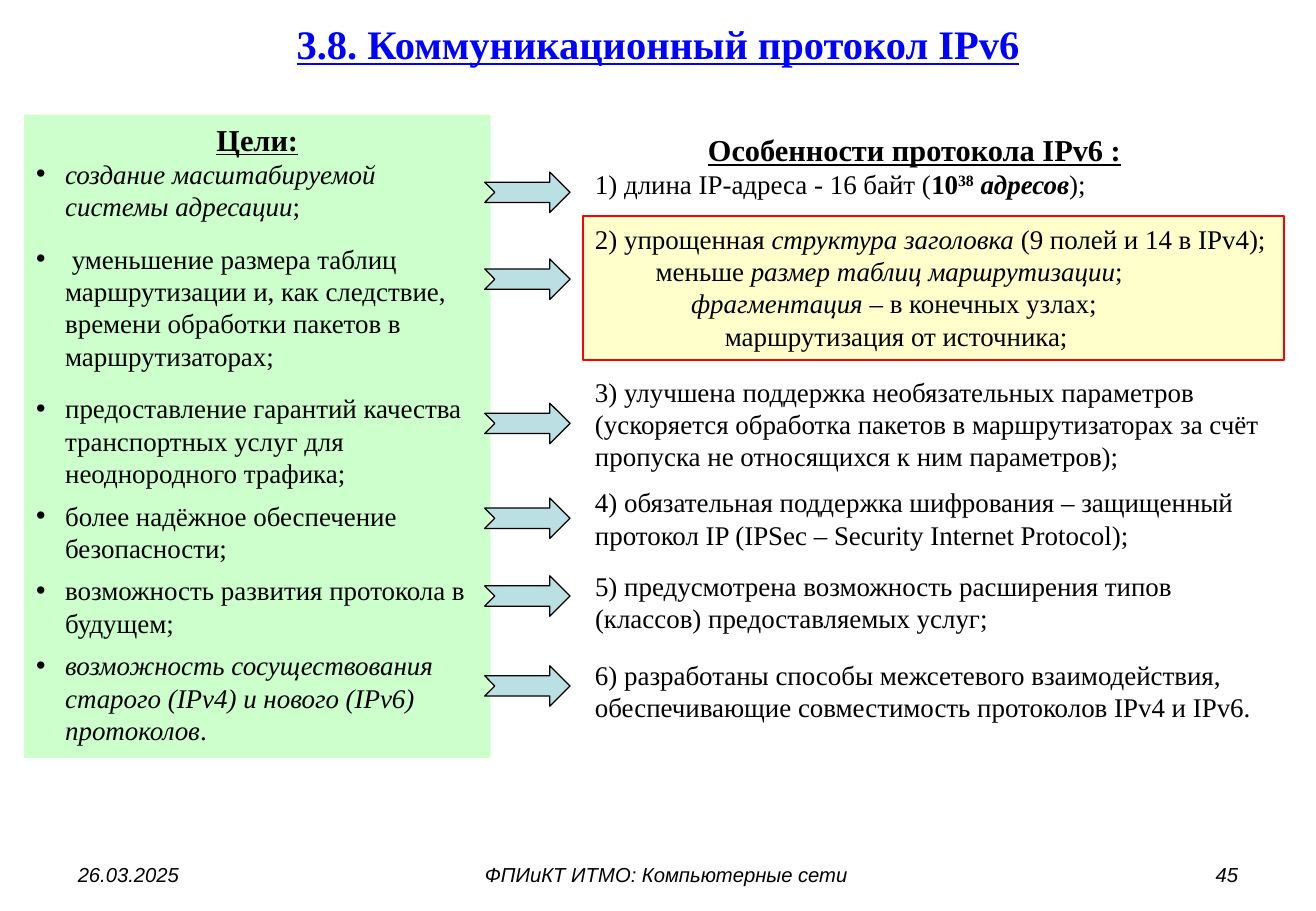
from dataclasses import dataclass

from lxml.etree import SubElement
from pptx import Presentation
from pptx.dml.color import RGBColor
from pptx.enum.shapes import MSO_SHAPE
from pptx.enum.text import MSO_ANCHOR, MSO_AUTO_SIZE, PP_ALIGN
from pptx.oxml.ns import qn
from pptx.util import Pt


@dataclass(frozen=True)
class Theme:
    serif: str = "Times New Roman"
    sans: str = "Arial"
    ink: str = "000000"
    title_blue: str = "0000FF"
    goals_fill: str = "CCFFCC"
    header_fill: str = "FEFFCB"
    header_line: str = "FF0000"
    arrow_fill: str = "BBE0E3"
    title_size: int = 24
    heading_size: int = 18
    body_size: int = 16
    footer_size: int = 12


@dataclass
class Para:
    """A paragraph; each run is (text, marks): b, i, u or ^ for superscript."""
    runs: list
    size: int = Theme.body_size
    align: PP_ALIGN = PP_ALIGN.LEFT
    before: float = 0
    margin: float = 0
    bullet: bool = False
    font: str = Theme.serif
    color: str = Theme.ink


class SlideBuilder:
    def __init__(self, slide, theme):
        self.slide, self.theme = slide, theme

    def fill_text(self, frame, paras, anchor=MSO_ANCHOR.TOP):
        frame.word_wrap = True
        frame.auto_size = MSO_AUTO_SIZE.NONE
        frame.vertical_anchor = anchor
        for index, para in enumerate(paras):
            line = frame.add_paragraph() if index else frame.paragraphs[0]
            line.alignment = para.align
            if para.before:
                line.space_before = Pt(para.before)
            props = line._p.get_or_add_pPr()
            if para.margin:
                props.set("marL", str(Pt(para.margin)))
            if para.bullet:
                props.set("indent", str(-Pt(para.margin)))
                SubElement(props, qn("a:buFont"), typeface=self.theme.sans)
                SubElement(props, qn("a:buChar"), char="•")
            for text, marks in para.runs:
                run = line.add_run()
                run.text = text
                font = run.font
                font.name, font.size = para.font, Pt(para.size)
                font.color.rgb = RGBColor.from_string(para.color)
                font.bold, font.italic = "b" in marks, "i" in marks
                font.underline = "u" in marks
                if "^" in marks:
                    run._r.get_or_add_rPr().set("baseline", "30000")

    def title(self, text, left, top, width, height):
        title = self.slide.shapes.title
        title.left, title.top = Pt(left), Pt(top)
        title.width, title.height = Pt(width), Pt(height)
        self.fill_text(title.text_frame, [Para(
            [(text, "bu")], self.theme.title_size, PP_ALIGN.CENTER,
            color=self.theme.title_blue)], MSO_ANCHOR.MIDDLE)
        title.text_frame.paragraphs[0].line_spacing = 0.85

    def text(self, paras, left, top, width, height):
        box = self.slide.shapes.add_textbox(Pt(left), Pt(top), Pt(width), Pt(height))
        self.fill_text(box.text_frame, paras)

    def shape(self, kind, left, top, width, height, fill, line=None, weight=0, paras=()):
        shape = self.slide.shapes.add_shape(kind, Pt(left), Pt(top), Pt(width), Pt(height))
        shape.shadow.inherit = False
        shape.fill.solid()
        shape.fill.fore_color.rgb = RGBColor.from_string(fill)
        if line:
            shape.line.color.rgb = RGBColor.from_string(line)
            shape.line.width = Pt(weight)
        else:
            shape.line.fill.background()
        if paras:
            self.fill_text(shape.text_frame, paras)


def heading(text):
    return Para([(text, "bu")], Theme.heading_size, PP_ALIGN.CENTER)


def goal(before, *runs):
    return Para(list(runs), before=before, margin=17.25, bullet=True)


def main():
    theme = Theme()
    deck = Presentation()
    deck.slide_width, deck.slide_height = Pt(780), Pt(540)
    builder = SlideBuilder(deck.slides.add_slide(deck.slide_layouts[5]), theme)

    builder.title("3.8. Коммуникационный протокол IPv6", 39, 1, 702, 54)

    # Goals
    builder.shape(MSO_SHAPE.RECTANGLE, 14.3, 68, 276.5, 381.5, theme.goals_fill, paras=[
        heading("Цели:"),
        goal(0, ("создание масштабируемой системы адресации", "i"), (";", "")),
        goal(12, (" уменьшение размера таблиц маршрутизации и, как следствие, "
                  "времени обработки пакетов в маршрутизаторах;", "")),
        goal(12, ("предоставление гарантий качества транспортных услуг для "
                  "неоднородного трафика;", "")),
        goal(6, ("более надёжное обеспечение безопасности;", "")),
        goal(6, ("возможность развития протокола в будущем;", "")),
        goal(6, ("возможность сосуществования старого (IPv4) и нового (IPv6) "
                 "протоколов", "i"), (".", "")),
    ])

    # Features of the protocol
    features_left = 345.6
    builder.text([
        heading("Особенности протокола IPv6 :"),
        Para([("1) длина IP-адреса - 16 байт (", ""), ("10", "b"), ("38", "b^"),
              (" адресов", "bi"), (");", "")]),
    ], features_left, 74.2, 393, 48)

    builder.shape(
        MSO_SHAPE.RECTANGLE, features_left, 128.2, 415.5, 85,
        theme.header_fill, theme.header_line, 1.25, [
            Para([("2) упрощенная ", ""), ("структура заголовка ", "i"),
                  ("(9 полей и 14 в IРv4);", "")]),
            Para([("меньше ", ""), ("размер таблиц маршрутизации", "i"), (";", "")],
                 margin=36),
            Para([("фрагментация ", "i"), ("– в конечных узлах;", "")], margin=57),
            Para([("маршрутизация от источника;", "")], margin=77),
        ])

    for top, width, height, feature in (
        (218.9, 415, 65.5, "3) улучшена поддержка необязательных параметров (ускоряется "
         "обработка пакетов в маршрутизаторах за счёт пропуска не относящихся к ним "
         "параметров);"),
        (284.4, 415, 46, "4) обязательная поддержка шифрования – защищенный протокол IP "
         "(IPSec – Security Internet Protocol);"),
        (334.1, 397, 46, "5) предусмотрена возможность расширения типов (классов) "
         "предоставляемых услуг;"),
        (386.6, 415, 46, "6) разработаны способы межсетевого взаимодействия, "
         "обеспечивающие совместимость протоколов IPv4 и IPv6."),
    ):
        builder.text([Para([(feature, "")])], features_left, top, width, height)

    # Arrows from each goal to its feature
    for arrow_top in (102, 153.5, 239, 295.2, 341.3, 394.6):
        builder.shape(MSO_SHAPE.NOTCHED_RIGHT_ARROW, 287.3, arrow_top, 50.6, 24,
                      theme.arrow_fill, theme.ink, 0.75)

    # Footer
    for left, width, align, note in (
        (39, 182, PP_ALIGN.LEFT, "26.03.2025"),
        (241, 308, PP_ALIGN.CENTER, "ФПИиКТ ИТМО: Компьютерные сети"),
        (559, 182, PP_ALIGN.RIGHT, "45"),
    ):
        builder.text([Para([(note, "i")], theme.footer_size, align, font=theme.sans)],
                     left, 507.6, width, 21.6)

    deck.save("out.pptx")


if __name__ == "__main__":
    main()
